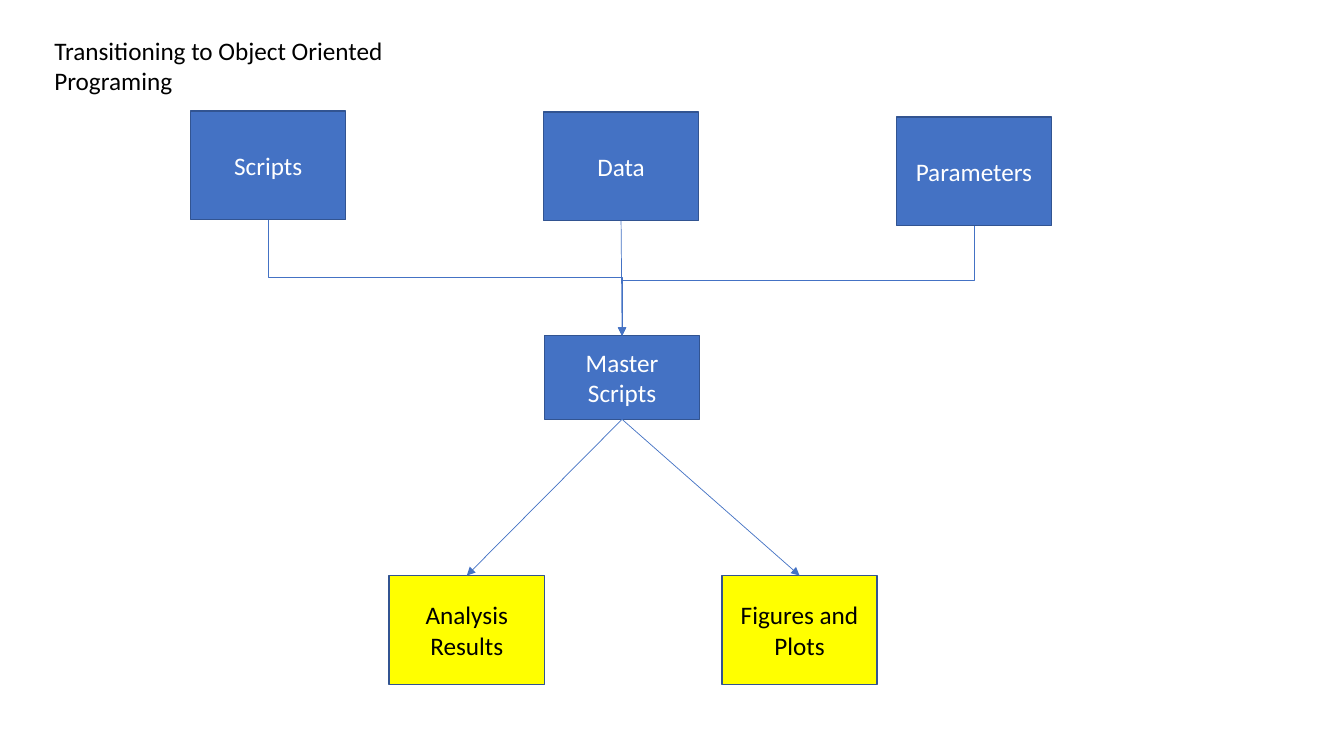
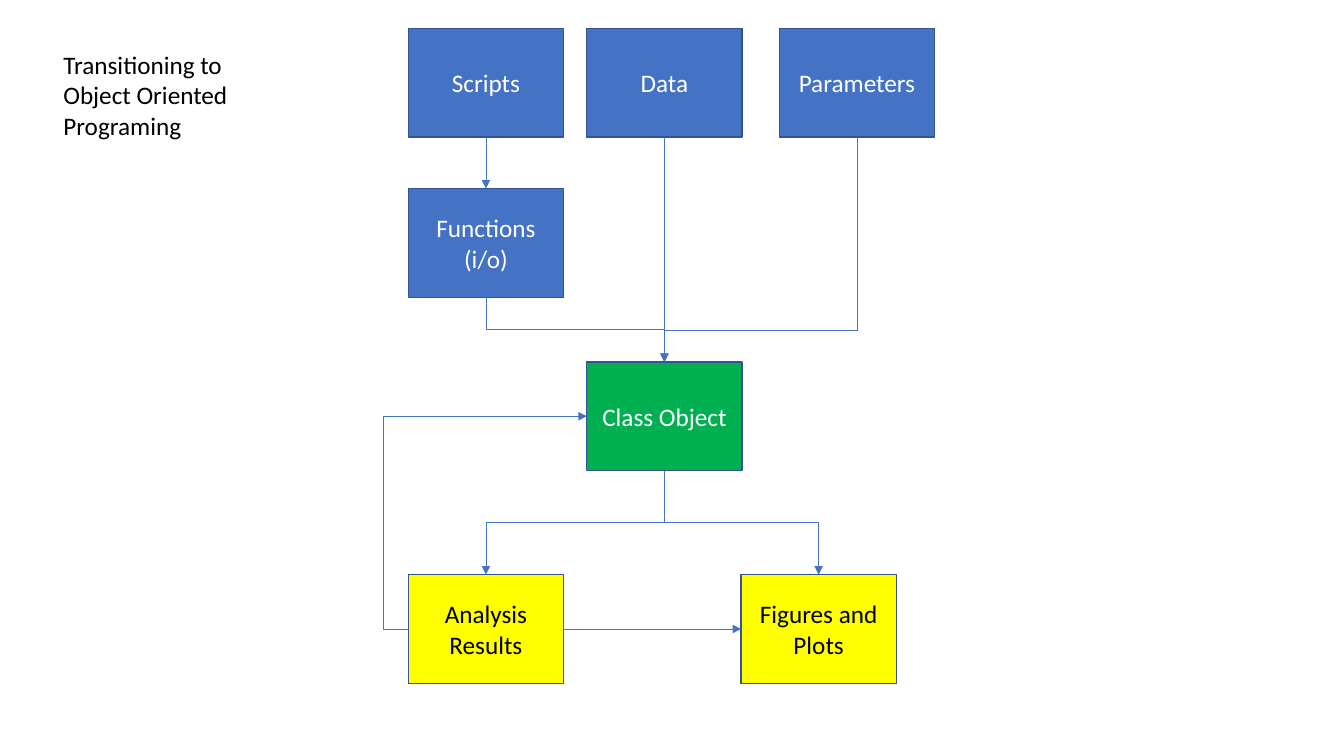
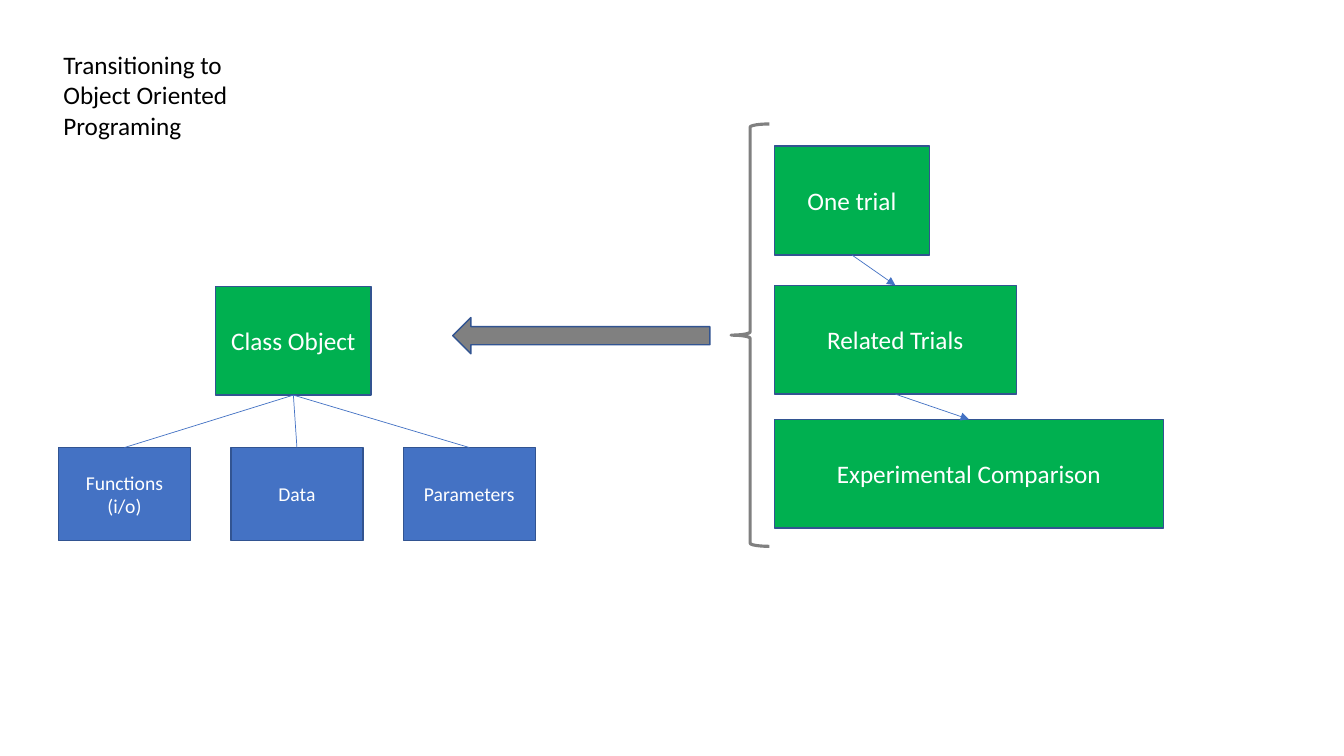
from lxml.etree import SubElement
from pptx import Presentation
from pptx.dml.color import RGBColor
from pptx.enum.shapes import MSO_CONNECTOR as Link, MSO_SHAPE as Shape
from pptx.enum.text import MSO_ANCHOR, MSO_AUTO_SIZE, PP_ALIGN
from pptx.oxml.ns import qn
from pptx.util import Inches, Pt

hex_color = RGBColor.from_string
BLUE, GREEN, YELLOW, GRAY = "4472C4", "00B050", "FFFF00", "808080"
OUTLINE, WHITE, BLACK = "325491", "FFFFFF", "000000"
FONT = "Calibri"
BOX_W, BOX_H = 1.54, 1.08
TOP, LEFT, BOTTOM, RIGHT = range(4)  # connection sites of a rectangle


def add_block(slide, text, x, y, fill=BLUE, w=BOX_W, h=BOX_H, size=18, kind=Shape.RECTANGLE):
    """Add a filled, outlined shape with centred text."""
    block = slide.shapes.add_shape(kind, Inches(x), Inches(y), Inches(w), Inches(h))
    block.shadow.inherit = False
    block.fill.solid()
    block.fill.fore_color.rgb = hex_color(fill)
    block.line.color.rgb = hex_color(OUTLINE)
    block.line.width = Pt(1)
    frame = block.text_frame
    frame.word_wrap = True
    frame.vertical_anchor = MSO_ANCHOR.MIDDLE
    frame.text = text
    for paragraph in frame.paragraphs:
        paragraph.alignment = PP_ALIGN.CENTER
        for run in paragraph.runs:
            run.font.name = FONT
            run.font.size = Pt(size)
            run.font.color.rgb = hex_color(BLACK if fill == YELLOW else WHITE)
    return block


def connect(slide, start, end, sites=(BOTTOM, TOP), bend=None, arrow=True):
    """Link two blocks; bend is the share of the way at which an elbow turns."""
    kind = Link.STRAIGHT if bend is None else Link.ELBOW
    link = slide.shapes.add_connector(kind, 0, 0, 0, 0)
    link.begin_connect(start, sites[0])
    link.end_connect(end, sites[1])
    link.line.color.rgb = hex_color(BLUE)
    link.line.width = Pt(0.5)
    properties = link.element.spPr
    if arrow:
        SubElement(properties.find(qn("a:ln")), qn("a:tailEnd"), type="triangle")
    SubElement(properties, qn("a:effectLst"))
    if bend is None:
        return
    adjustments = properties.find(qn("a:prstGeom")).find(qn("a:avLst"))
    SubElement(adjustments, qn("a:gd"), name="adj1", fmla=f"val {round(bend * 100000)}")
    if sites == (BOTTOM, TOP):
        # Leaving downwards takes a quarter turn about the centre.
        to_right = link.end_x > link.begin_x
        x, y, w, h = link.left, link.top, link.width, link.height
        link.left, link.top = x + (w - h) // 2, y + (h - w) // 2
        link.width, link.height = h, w
        frame = properties.find(qn("a:xfrm"))
        frame.set("rot", str((270 if to_right else 90) * 60000))
        frame.set("flipH", "1" if to_right else "0")


deck = Presentation()
deck.slide_width, deck.slide_height = Inches(13.33), Inches(7.5)

slides = []
for x, y, w, h in [(0.44, 0.3, 3.82, 0.71), (0.53, 0.44, 2.22, 1.01), (0.53, 0.44, 2.22, 1.01)]:
    slide = deck.slides.add_slide(deck.slide_layouts[6])
    heading = slide.shapes.add_textbox(Inches(x), Inches(y), Inches(w), Inches(h)).text_frame
    heading.word_wrap = True
    heading.auto_size = MSO_AUTO_SIZE.SHAPE_TO_FIT_TEXT
    heading.text = "Transitioning to Object Oriented Programing"
    font = heading.paragraphs[0].runs[0].font
    font.name, font.size = FONT, Pt(18)
    font.color.rgb = hex_color(BLACK)
    slides.append(slide)
script_flow, object_flow, object_scope = slides

# Slide 1: scripts, data and parameters meet in master scripts
scripts = add_block(script_flow, "Scripts", 1.89, 1.1)
data = add_block(script_flow, "Data", 5.39, 1.11)
parameters = add_block(script_flow, "Parameters", 8.89, 1.16)
results = add_block(script_flow, "Analysis Results", 3.86, 5.71, YELLOW)
figures = add_block(script_flow, "Figures and Plots", 7.16, 5.71, YELLOW)
master = add_block(script_flow, "Master Scripts", 5.4, 3.33, h=0.83)
for source, bend in [(scripts, 0.5), (parameters, 0.5), (data, None)]:
    connect(script_flow, source, master, bend=bend)
for output in (figures, results):
    connect(script_flow, master, output)

# Slide 2: a class object takes the place of the master scripts
scripts = add_block(object_flow, "Scripts", 4.05, 0.28)
functions = add_block(object_flow, "Functions\n(i/o)", 4.05, 1.87)
class_object = add_block(object_flow, "Class Object", 5.82, 3.59, GREEN)
data = add_block(object_flow, "Data", 5.82, 0.28)
parameters = add_block(object_flow, "Parameters", 7.73, 0.28)
results = add_block(object_flow, "Analysis Results", 4.05, 5.7, YELLOW)
figures = add_block(object_flow, "Figures and Plots", 7.35, 5.7, YELLOW)
connect(object_flow, scripts, functions)
for source, bend in [(functions, 0.5), (data, None), (parameters, 0.86)]:
    connect(object_flow, source, class_object, bend=bend)
for output in (results, figures):
    connect(object_flow, class_object, output, bend=0.5)
connect(object_flow, results, figures, (RIGHT, LEFT))
connect(object_flow, results, class_object, (LEFT, LEFT), bend=-0.14)

# Slide 3: members of the class object and the scopes it serves
class_object = add_block(object_scope, "Class Object", 2.14, 2.84, GREEN)
trials = [
    add_block(object_scope, text, 7.68, y, GREEN, w=w)
    for text, y, w in [
        ("One trial", 1.45, BOX_W),
        ("Related Trials", 2.83, 2.4),
        ("Experimental Comparison", 4.16, 3.86),
    ]
]
for column, text in enumerate(["Functions\n(i/o)", "Data", "Parameters"]):
    member = add_block(object_scope, text, 0.58 + 1.71 * column, 4.44, w=1.31, h=0.92, size=14)
    connect(object_scope, class_object, member, arrow=False)
for narrower, wider in zip(trials, trials[1:]):
    connect(object_scope, narrower, wider)

scope_arrow = add_block(object_scope, "", 4.49, 3.15, GRAY, 2.55, 0.36, kind=Shape.RIGHT_ARROW)
scope_arrow.rotation = 180
brace = object_scope.shapes.add_shape(
    Shape.LEFT_BRACE, Inches(7.25), Inches(1.23), Inches(0.38), Inches(4.19))
brace.shadow.inherit = False
brace.fill.background()
brace.line.color.rgb = hex_color(GRAY)
brace.line.width = Pt(2.25)

deck.save("out.pptx")
